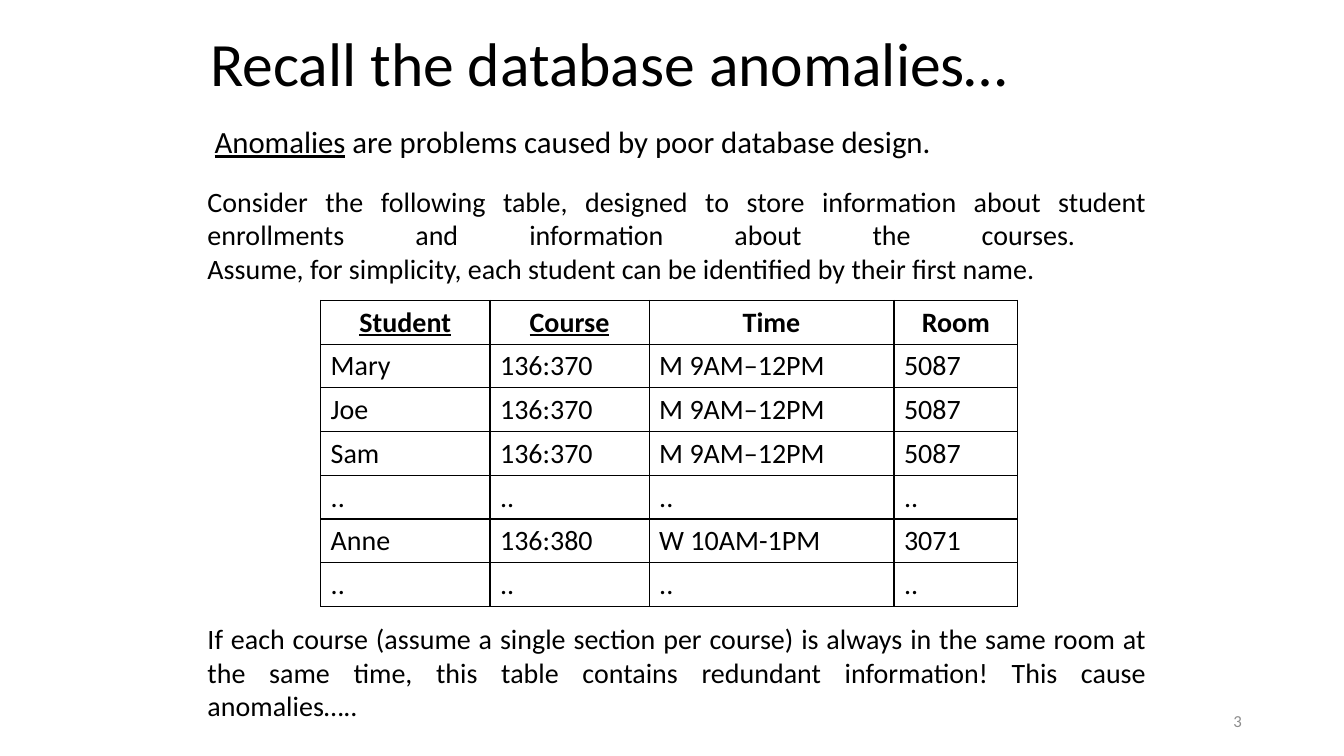
from dataclasses import dataclass

from lxml import etree
from pptx import Presentation
from pptx.dml.color import RGBColor
from pptx.enum.text import MSO_ANCHOR, PP_ALIGN
from pptx.oxml.ns import qn
from pptx.util import Cm, Pt

LEFT, CENTER, RIGHT, JUSTIFY = (
    PP_ALIGN.LEFT, PP_ALIGN.CENTER, PP_ALIGN.RIGHT, PP_ALIGN.JUSTIFY)
TOP, MIDDLE = MSO_ANCHOR.TOP, MSO_ANCHOR.MIDDLE


@dataclass(frozen=True)
class Theme:
    font: str = "Calibri"
    ink: str = "000000"
    muted: str = "8C8C8C"
    title: int = 44
    lead: int = 22
    body: int = 20
    number: int = 12
    border: int = 1


THEME = Theme()

HEADERS = [("Student", True), ("Course", True), ("Time", False), ("Room", False)]
MORNING = ("136:370", "M 9AM–12PM", "5087")
MORE = ("..",) * 4
ENROLLMENTS = [
    ("Mary", *MORNING),
    ("Joe", *MORNING),
    ("Sam", *MORNING),
    MORE,
    ("Anne", "136:380", "W 10AM-1PM", "3071"),
    MORE,
]
COLUMN_WIDTHS = (4.27, 4.01, 6.17, 3.12)


def write(p, text, size, color=THEME.ink, **formats):
    """Append text to p as one run per line, with the given font formats."""
    for i, line in enumerate(text.split("\n")):
        if i:
            p.add_line_break()
        r = p.add_run()
        r.text = line
        font = {"name": THEME.font, "size": Pt(size), **formats}
        for name, value in font.items():
            setattr(r.font, name, value)
        r.font.color.rgb = RGBColor.from_string(color)


def add_text(s, box, runs, size, color=THEME.ink, anchor=TOP, **paragraph):
    """Place one paragraph in box; runs are (text, underline) pairs."""
    tf = s.shapes.add_textbox(*map(Cm, box)).text_frame
    tf.word_wrap = True
    tf.vertical_anchor = anchor
    p = tf.paragraphs[0]
    for name, value in paragraph.items():
        setattr(p, name, value)
    for text, underline in runs:
        write(p, text, size, color, underline=underline)


def add_heading(s, box):
    x, y, w, h = box
    add_text(s, (x, y, w, 2.87), [("Recall the database anomalies…", False)],
             THEME.title, anchor=MIDDLE, line_spacing=0.9)
    add_text(s, (x + 0.11, y + 2.59, w, h - 2.59),
             [("Anomalies", True),
              (" are problems caused by poor database design.", False)],
             THEME.lead, alignment=JUSTIFY, line_spacing=Pt(30))


def set_borders(cell):
    tc_pr = cell._tc.get_or_add_tcPr()
    for i, side in enumerate(("a:lnL", "a:lnR", "a:lnT", "a:lnB")):
        ln = etree.Element(qn(side), w=str(Pt(THEME.border)))
        fill = etree.SubElement(ln, qn("a:solidFill"))
        etree.SubElement(fill, qn("a:srgbClr"), val=THEME.ink)
        tc_pr.insert(i, ln)


def fill_cell(cell, text, alignment, **formats):
    p = cell.text_frame.paragraphs[0]
    p.alignment = alignment
    write(p, text, THEME.body, **formats)
    cell.fill.background()
    set_borders(cell)


def add_enrollment_table(s, box):
    table = s.shapes.add_table(
        len(ENROLLMENTS) + 1, len(HEADERS), *map(Cm, box)).table
    table.first_row = table.horz_banding = False
    for column, width in zip(table.columns, COLUMN_WIDTHS):
        column.width = Cm(width)
    for j, (text, is_key) in enumerate(HEADERS):
        fill_cell(table.cell(0, j), text, CENTER, bold=True, underline=is_key)
    for i, row in enumerate(ENROLLMENTS, 1):
        for j, text in enumerate(row):
            fill_cell(table.cell(i, j), text, LEFT)


def add_example(s, box):
    """Place the introduction, the table and the conclusion."""
    x, y, w, h = box
    add_text(s, (x, y, w, 2.83),
             [("Consider the following table, designed to store information "
               "about student enrollments and information about the courses. \n"
               "Assume, for simplicity, each student can be identified by "
               "their first name.", False)],
             THEME.body, alignment=JUSTIFY)
    add_enrollment_table(s, (x + 3.1, y + 3.05, sum(COLUMN_WIDTHS), 7.7))
    add_text(s, (x, y + h - 2.83, w, 2.83),
             [("If each course (assume a single section per course) is always "
               "in the same room at the same time, this table contains "
               "redundant information! This cause anomalies…..", False)],
             THEME.body, alignment=JUSTIFY)


def add_slide_number(s, box):
    add_text(s, box, [("3", False)], THEME.number, THEME.muted, MIDDLE,
             alignment=RIGHT)


def main():
    prs = Presentation()
    prs.slide_width, prs.slide_height = Cm(33.87), Cm(19.05)
    s = prs.slides.add_slide(prs.slide_layouts[6])
    add_heading(s, (5.05, 0.25, 22.9, 3.9))
    add_example(s, (4.98, 4.52, 24.16, 13.85))
    add_slide_number(s, (23.93, 17.65, 7.62, 1.02))
    prs.save("out.pptx")


if __name__ == "__main__":
    main()
